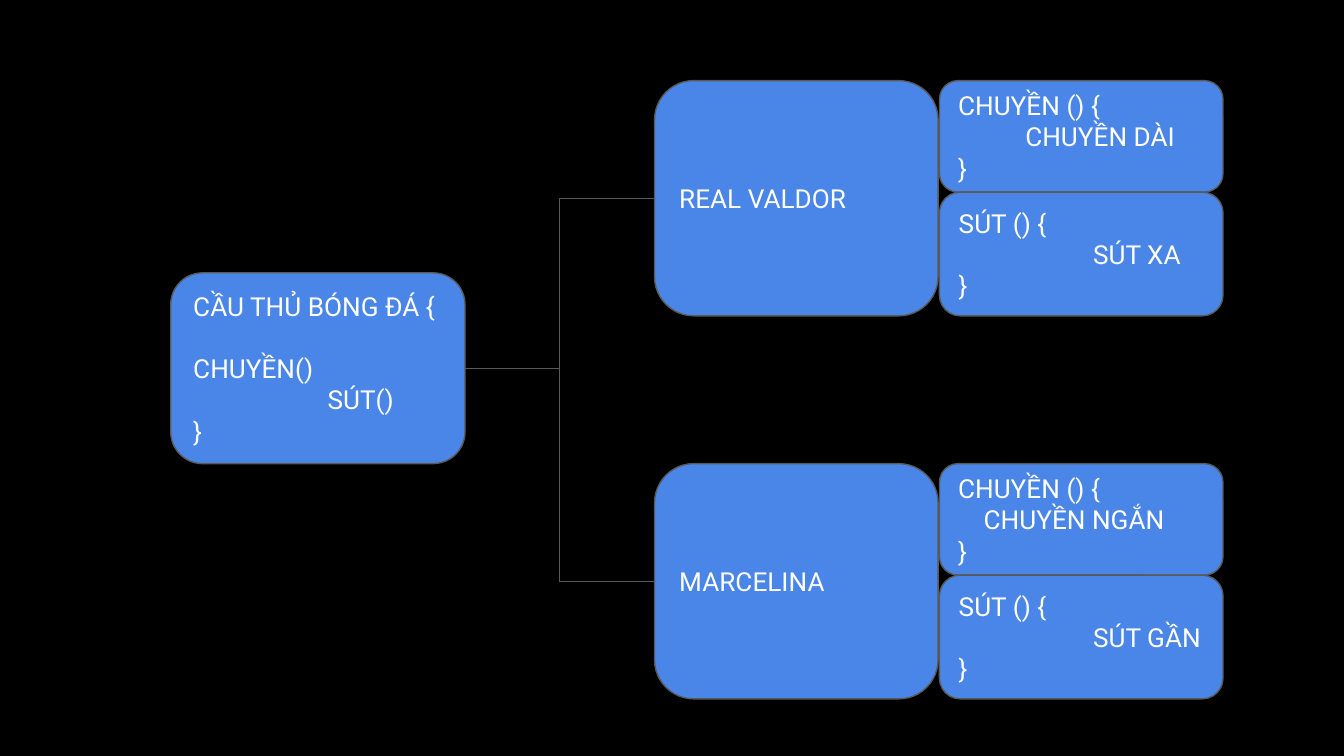
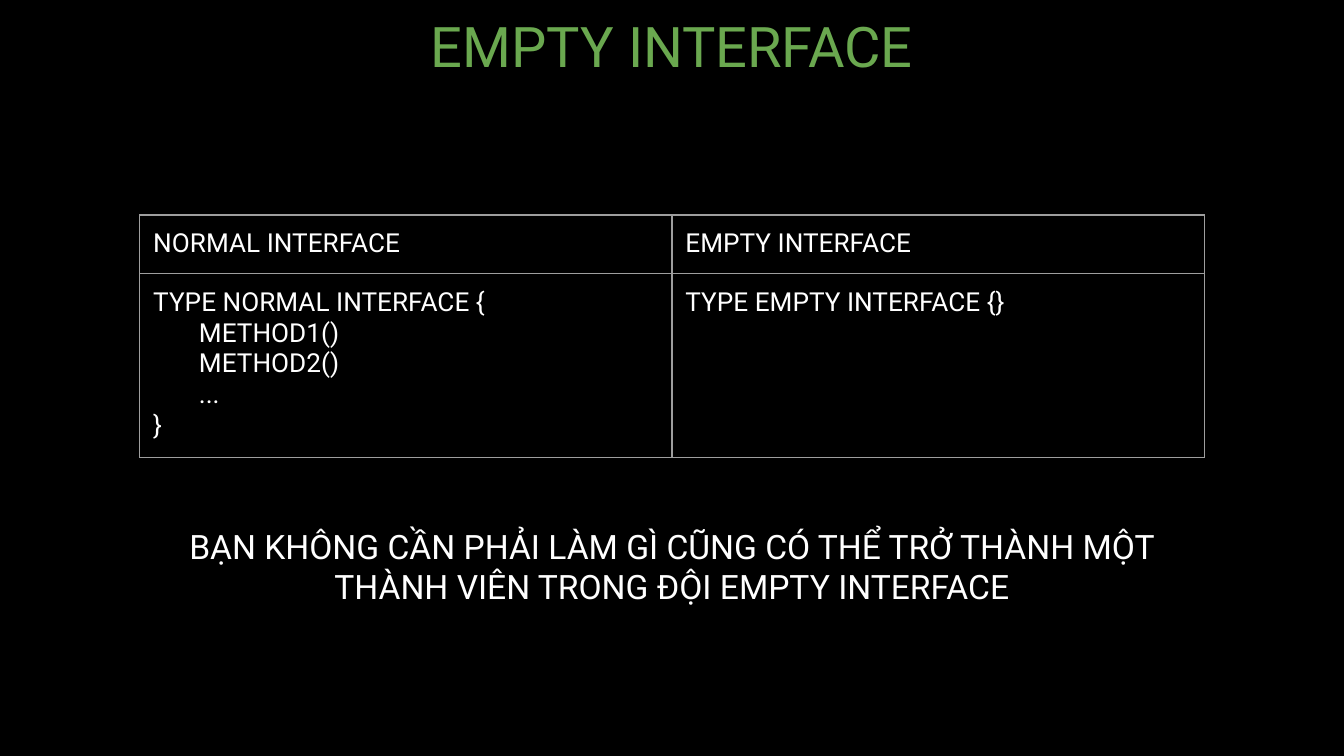
import pptx
import pptx.dml.color
import pptx.enum.shapes
import pptx.enum.text
import pptx.oxml
import pptx.oxml.ns
import pptx.util
from lxml import etree

Inches = pptx.util.Inches
Pt = pptx.util.Pt
ALIGN = pptx.enum.text.PP_ALIGN
ANCHOR = pptx.enum.text.MSO_ANCHOR
qn = pptx.oxml.ns.qn

FONT = "Roboto"
BLACK, WHITE, GREEN = "000000", "FFFFFF", "6AA84F"
BOX_BLUE, BOX_EDGE, GRID = "4A86E8", "595959", "9E9E9E"
PADDING = 0.1
LINE_WIDTH = 0.75
BODY_SIZE = 14
BODY_LINE = 16.4
RIGHT_SITE, LEFT_SITE = 3, 1


def colour(hex_text):
    return pptx.dml.color.RGBColor.from_string(hex_text)


def add_slide(deck):
    slide = deck.slides.add_slide(deck.slide_layouts[6])
    slide.background.fill.solid()
    slide.background.fill.fore_color.rgb = colour(BLACK)
    return slide


def write(frame, lines, size=BODY_SIZE, ink=WHITE, align=ALIGN.LEFT):
    """Each line is (text, indent in inches, lines of space above)."""
    for number, (text, indent, lines_above) in enumerate(lines):
        paragraph = frame.paragraphs[0] if number == 0 else frame.add_paragraph()
        paragraph.text = text
        paragraph.alignment = align
        paragraph.font.name = FONT
        paragraph.font.size = Pt(size)
        paragraph.font.color.rgb = colour(ink)
        if indent:
            paragraph._p.get_or_add_pPr().set("marL", str(Inches(indent)))
        if lines_above:
            paragraph.space_before = Pt(lines_above * BODY_LINE)


def plain(text):
    return [(text, 0, 0)]


def block(opening, body, indent):
    return [(opening, 0, 0), (body, indent, 0), ("}", 0, 0)]


def pad(frame, anchor):
    frame.word_wrap = True
    frame.vertical_anchor = anchor
    frame.margin_left = frame.margin_right = Inches(PADDING)
    frame.margin_top = frame.margin_bottom = Inches(PADDING)


def add_box(slide, left, top, width, height, lines):
    box = slide.shapes.add_shape(
        pptx.enum.shapes.MSO_SHAPE.ROUNDED_RECTANGLE,
        Inches(left), Inches(top), Inches(width), Inches(height))
    box.shadow.inherit = False
    box.fill.solid()
    box.fill.fore_color.rgb = colour(BOX_BLUE)
    box.line.color.rgb = colour(BOX_EDGE)
    box.line.width = Pt(LINE_WIDTH)
    pad(box.text_frame, ANCHOR.MIDDLE)
    write(box.text_frame, lines)
    return box


def add_text(slide, left, top, width, height, text, size, ink, anchor):
    frame = slide.shapes.add_textbox(
        Inches(left), Inches(top), Inches(width), Inches(height)).text_frame
    pad(frame, anchor)
    write(frame, plain(text), size, ink, ALIGN.CENTER)


def add_team(slide, left, top, name, passing, shooting):
    width, pass_height, shoot_height = 2.11, 0.83, 0.92
    methods_left = left + width + 0.01
    team = add_box(slide, left, top, width, pass_height + shoot_height, plain(name))
    add_box(slide, methods_left, top, width, pass_height, passing)
    add_box(slide, methods_left, top + pass_height, width, shoot_height, shooting)
    return team


def join(slide, parent, child):
    branch = slide.shapes.add_connector(
        pptx.enum.shapes.MSO_CONNECTOR.ELBOW, 0, 0, 0, 0)
    branch.begin_connect(parent, RIGHT_SITE)
    branch.end_connect(child, LEFT_SITE)
    branch.line.color.rgb = colour(BOX_EDGE)
    branch.line.width = Pt(LINE_WIDTH)
    etree.SubElement(branch._element.spPr, qn("a:effectLst"))


def build_player_slide(deck):
    slide = add_slide(deck)
    player = add_box(slide, 1.27, 2.03, 2.19, 1.42, [
        ("CẦU THỦ BÓNG ĐÁ {", 0, 0),
        ("CHUYỀN()", 0, 1),
        ("SÚT()", 1, 0),
        ("}", 0, 0),
    ])
    teams = [
        ("REAL VALDOR", ("CHUYỀN DÀI", 0.5), "SÚT XA"),
        ("MARCELINA", ("CHUYỀN NGẮN", 0.19), "SÚT GẦN"),
    ]
    for row, (name, (passing, indent), shooting) in enumerate(teams):
        team = add_team(slide, 4.87, 0.6 + row * 2.85, name,
                        block("CHUYỀN () {", passing, indent),
                        block("SÚT () {", shooting, 1))
        join(slide, player, team)


def add_borders(cell):
    properties = cell._tc.get_or_add_tcPr()
    for side in ("lnL", "lnR", "lnT", "lnB"):
        edge = etree.SubElement(properties, qn(f"a:{side}"), w=str(Pt(LINE_WIDTH)))
        fill = etree.SubElement(edge, qn("a:solidFill"))
        etree.SubElement(fill, qn("a:srgbClr"), val=GRID)


def add_comparison(slide, left, top, width, row_height, rows):
    columns = len(rows[0])
    table = slide.shapes.add_table(
        len(rows), columns, Inches(left), Inches(top),
        Inches(width), Inches(row_height * len(rows))).table
    table.first_row = table.horz_banding = False
    for column in table.columns:
        column.width = Inches(width / columns)
    for row, contents in zip(table.rows, rows):
        row.height = Inches(row_height)
        for cell, lines in zip(row.cells, contents):
            cell.margin_left = cell.margin_right = Inches(PADDING)
            cell.margin_top = cell.margin_bottom = Inches(PADDING)
            add_borders(cell)
            cell.fill.background()
            write(cell.text_frame, lines)


def build_interface_slide(deck):
    slide = add_slide(deck)
    left, width = 1.04, 7.92
    add_text(slide, 0.34, 0.05, 9.32, 0.57, "EMPTY INTERFACE",
             30, GREEN, ANCHOR.MIDDLE)
    methods = [(text, 0.34, 0) for text in ("METHOD1()", "METHOD2()", "...")]
    normal = plain("TYPE NORMAL INTERFACE {") + methods + plain("}")
    add_comparison(slide, left, 1.6, width, 0.42, [
        (plain("NORMAL INTERFACE"), plain("EMPTY INTERFACE")),
        (normal, plain("TYPE EMPTY INTERFACE {}")),
    ])
    add_text(slide, left, 3.81, width, 0.96,
             "BẠN KHÔNG CẦN PHẢI LÀM GÌ CŨNG CÓ THỂ TRỞ THÀNH MỘT "
             "THÀNH VIÊN TRONG ĐỘI EMPTY INTERFACE",
             18, WHITE, ANCHOR.TOP)


def main():
    deck = pptx.Presentation()
    deck.slide_width = Inches(10)
    deck.slide_height = deck.slide_width * 9 // 16
    build_player_slide(deck)
    build_interface_slide(deck)
    deck.save("out.pptx")


if __name__ == "__main__":
    main()
